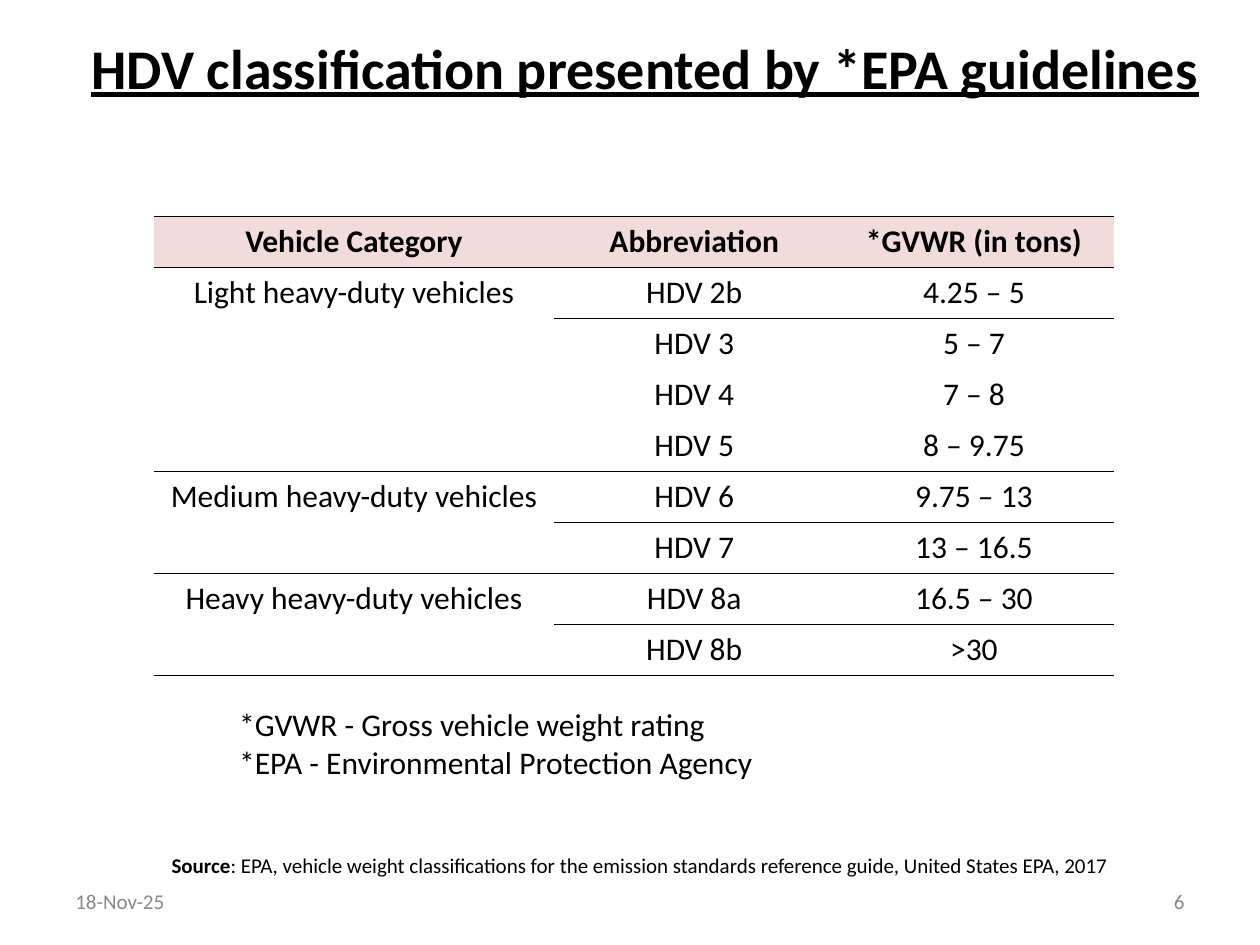
from dataclasses import dataclass

from lxml.etree import SubElement
from pptx import Presentation
from pptx.dml.color import RGBColor
from pptx.enum.text import MSO_ANCHOR, PP_ALIGN
from pptx.oxml.ns import qn
from pptx.util import Inches, Pt

WIDTH, HEIGHT = 10, 7.5
BLACK, GREY, PINK = "000000", "888888", "F2DCDB"
COLUMN_WIDTHS = (3.18, 2.22, 2.22)
ROW_HEIGHT = 0.405
HEADER = ("Vehicle Category", "Abbreviation", "*GVWR (in tons)")


@dataclass
class VehicleGroup:
    category: str
    classes: list[tuple[str, str]]


@dataclass
class Note:
    """A text block; each line is a list of (text, font formats) runs."""
    box: tuple[float, float, float, float]  # shares of the slide's size
    lines: list[list[tuple[str, dict]]]
    size: int = 12
    color: str = BLACK
    align: PP_ALIGN = PP_ALIGN.LEFT
    anchor: MSO_ANCHOR = MSO_ANCHOR.TOP
    top_inset: float = 0.05
    wrap: bool = True


GROUPS = [
    VehicleGroup("Light heavy-duty vehicles", [
        ("HDV 2b", "4.25 – 5"), ("HDV 3", "5 – 7"),
        ("HDV 4", "7 – 8"), ("HDV 5", "8 – 9.75")]),
    VehicleGroup("Medium heavy-duty vehicles", [
        ("HDV 6", "9.75 – 13"), ("HDV 7", "13 – 16.5")]),
    VehicleGroup("Heavy heavy-duty vehicles", [
        ("HDV 8a", "16.5 – 30"), ("HDV 8b", ">30")]),
]

NOTES = [
    # Heading
    Note((0.062, -0.025, 0.9, 0.212),
         [[("HDV classification presented by *EPA guidelines",
            {"bold": True, "underline": True})]],
         size=32, align=PP_ALIGN.CENTER, top_inset=0.45, wrap=False),
    # Abbreviations
    Note((0.18, 0.74, 0.664, 0.095),
         [[("*GVWR - Gross vehicle weight rating", {})],
          [("*EPA - Environmental Protection Agency", {})]], size=18),
    # Source
    Note((0.055, 0.896, 0.906, 0.04),
         [[("Source", {"bold": True}),
           (": EPA, vehicle weight classifications for the emission standards "
            "reference guide, United States EPA, 2017", {})]],
         align=PP_ALIGN.CENTER),
    # Page number and date
    Note((0.717, 0.927, 0.233, 0.053), [[("6", {})]], color=GREY,
         align=PP_ALIGN.RIGHT, anchor=MSO_ANCHOR.MIDDLE),
    Note((0.05, 0.927, 0.233, 0.053), [[("18-Nov-25", {})]], color=GREY,
         anchor=MSO_ANCHOR.MIDDLE),
]


def set_color(target, color: str) -> None:
    target.rgb = RGBColor.from_string(color)


def add_run(paragraph, text: str, size: int, color: str, formats: dict) -> None:
    run = paragraph.add_run()
    run.text = text
    for name, value in {"name": "Calibri", "size": Pt(size), **formats}.items():
        setattr(run.font, name, value)
    set_color(run.font.color, color)


def draw_note(slide, note: Note) -> None:
    left, top, width, height = note.box
    frame = slide.shapes.add_textbox(
        Inches(left * WIDTH), Inches(top * HEIGHT),
        Inches(width * WIDTH), Inches(height * HEIGHT)).text_frame
    frame.word_wrap = note.wrap
    frame.vertical_anchor = note.anchor
    frame.margin_top = Inches(note.top_inset)
    for index, line in enumerate(note.lines):
        paragraph = frame.add_paragraph() if index else frame.paragraphs[0]
        paragraph.alignment = note.align
        for text, formats in line:
            add_run(paragraph, text, note.size, note.color, formats)


def set_borders(cell, top: bool, bottom: bool) -> None:
    properties = cell._tc.get_or_add_tcPr()
    sides = {"a:lnL": False, "a:lnR": False, "a:lnT": top, "a:lnB": bottom}
    for side, visible in sides.items():
        line = SubElement(properties, qn(side), w=str(Pt(1)))
        if visible:
            fill = SubElement(line, qn("a:solidFill"))
            SubElement(fill, qn("a:srgbClr"), val=BLACK)
        else:
            SubElement(line, qn("a:noFill"))


def draw_classification(slide) -> None:
    rows = [HEADER]
    group_ends, group_starts = {-1, 0}, set()  # rows with a rule beneath
    spans = []
    for group in GROUPS:
        first = len(rows)
        for index, (code, weight) in enumerate(group.classes):
            rows.append(("" if index else group.category, code, weight))
        last = len(rows) - 1
        group_starts.add(first)
        group_ends.add(last)
        spans.append((first, last))

    table = slide.shapes.add_table(
        len(rows), len(HEADER), Inches(0.122 * WIDTH), Inches(0.229 * HEIGHT),
        Inches(sum(COLUMN_WIDTHS)), Inches(ROW_HEIGHT * len(rows))).table
    table.first_row = table.horz_banding = False
    for column, width in zip(table.columns, COLUMN_WIDTHS):
        column.width = Inches(width)

    for r, values in enumerate(rows):
        table.rows[r].height = Inches(ROW_HEIGHT)
        for c, value in enumerate(values):
            cell = table.cell(r, c)
            ruled = group_ends if c == 0 else group_ends | group_starts
            merged_origin = c == 0 and r in group_starts
            set_borders(cell, r - 1 in ruled, r in ruled or merged_origin)
            if r == 0:
                cell.fill.solid()
                set_color(cell.fill.fore_color, PINK)
            else:
                cell.fill.background()
            if value:
                paragraph = cell.text_frame.paragraphs[0]
                paragraph.alignment = PP_ALIGN.CENTER
                add_run(paragraph, value, 18, BLACK, {"bold": r == 0})

    for first, last in spans:
        table.cell(first, 0).merge(table.cell(last, 0))


def main() -> None:
    presentation = Presentation()
    presentation.slide_width = Inches(WIDTH)
    presentation.slide_height = Inches(HEIGHT)
    slide = presentation.slides.add_slide(presentation.slide_layouts[6])
    heading, *footnotes = NOTES
    draw_note(slide, heading)
    draw_classification(slide)
    for note in footnotes:
        draw_note(slide, note)
    presentation.save("out.pptx")


if __name__ == "__main__":
    main()
